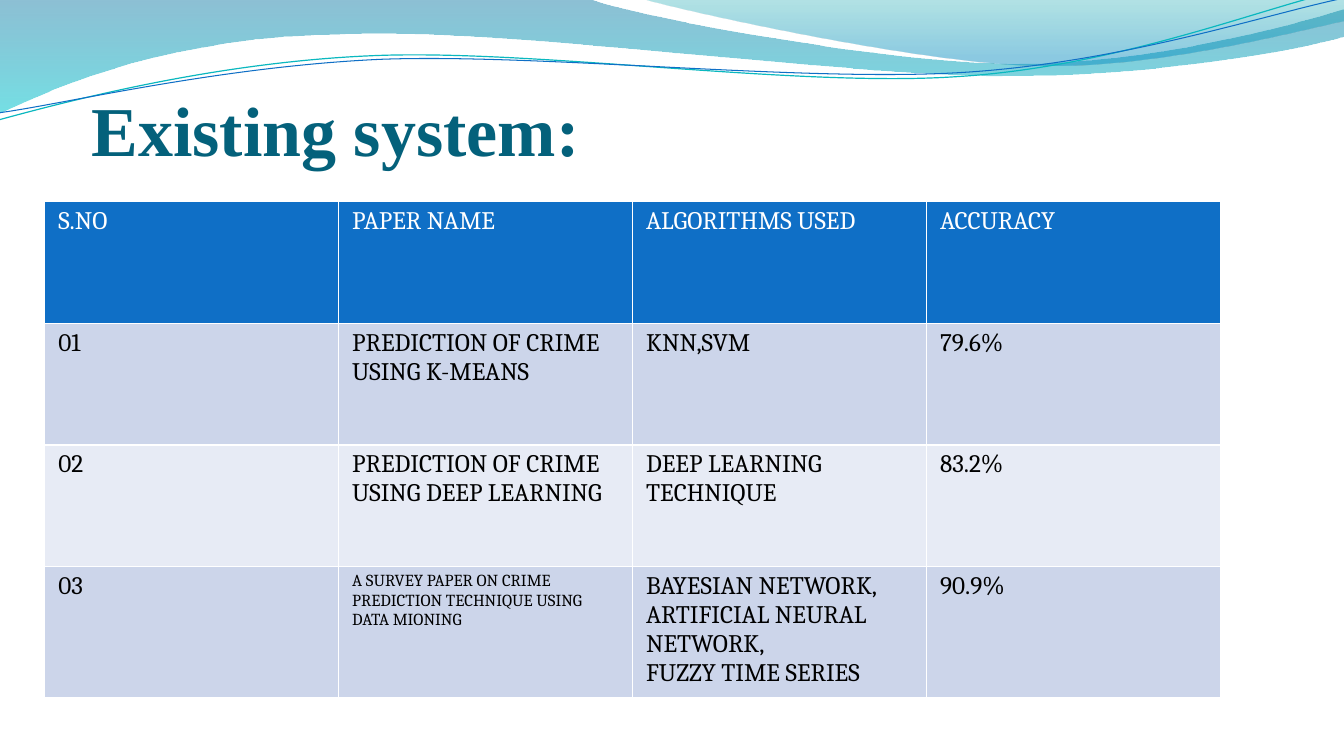
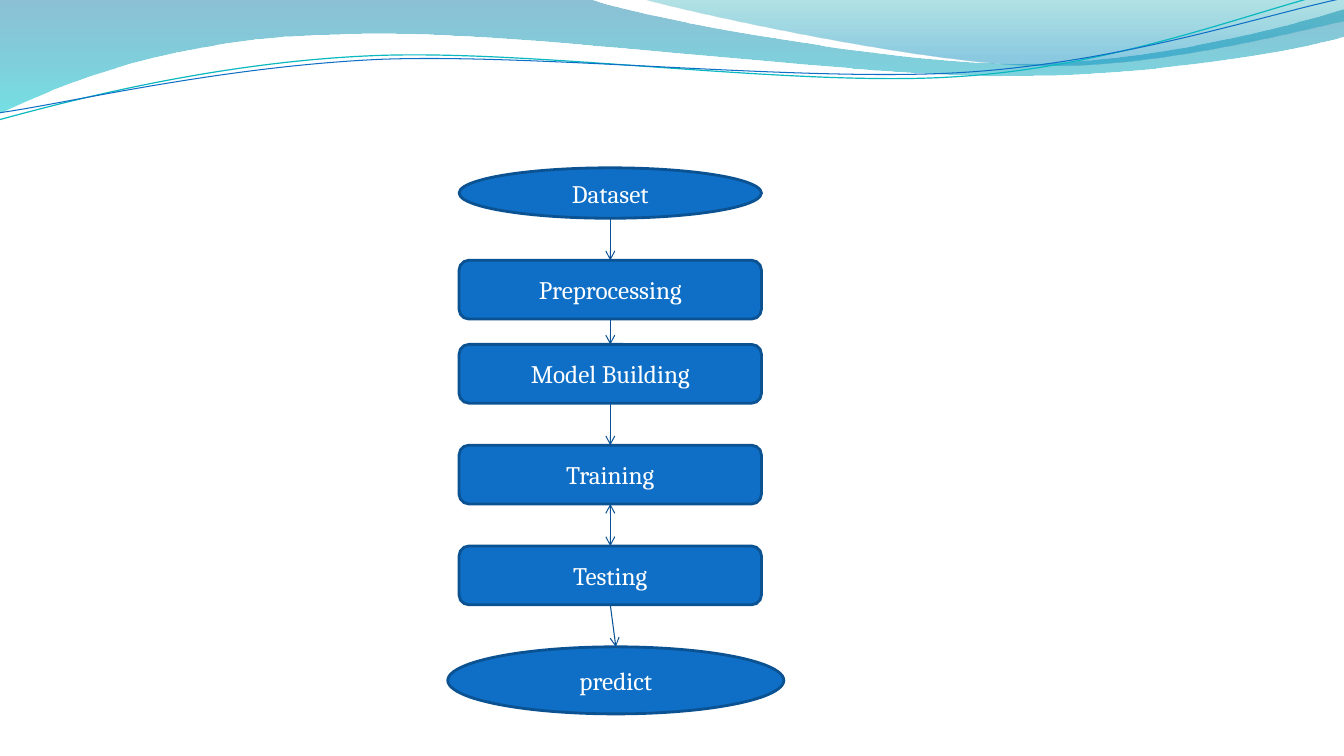
from dataclasses import dataclass

from lxml import etree
from pptx import Presentation
from pptx.dml.color import RGBColor
from pptx.enum import shapes, text
from pptx.oxml.ns import qn
from pptx.util import Cm, Pt


@dataclass(frozen=True)
class Theme:
    accent: str = "0F6FC6"
    outline: str = "0B5292"
    arrow: str = "095295"
    title: str = "04617B"
    light: str = "FFFFFF"
    dark: str = "000000"
    bands: tuple = ("CCD5EA", "E7EBF5")
    title_font: str = "Times New Roman"
    body_font: str = "Cambria"
    title_size: int = 50
    body_size: int = 18
    small_size: int = 12


@dataclass(frozen=True)
class Box:
    """A region of the slide, in centimetres."""
    left: float
    top: float
    width: float
    height: float

    def lengths(self):
        return Cm(self.left), Cm(self.top), Cm(self.width), Cm(self.height)


THEME = Theme()
SLIDE_SIZE = (33.87, 19.05)
TITLE_BOX = Box(2.31, 2.54, 24.33, 1.75)
TABLE_BOX = Box(1.13, 5.08, 29.63, 12.27)
FLOW_BOX = Box(11.57, 4.23, 7.62, 13.76)

# A step of one point is a straight line, of three points a cubic curve.
# Gradient stops are position, colour and opacity in percent.
WAVE_BANDS = [
    ((0, 0), [
        [(14.91, -0.02)],
        [(16.1, 0.43), (22.48, 1.6), (25.68, 1.6)],
        [(28.91, 1.6), (32.46, 0.66), (33.86, 0.23)],
        [(33.91, 0.91)],
        [(33.3, 1.12), (29.46, 1.93), (25.25, 1.91)],
        [(21.06, 1.91), (12.93, 0.71), (8.71, 0.86)],
        [(4.37, 0.91), (1.55, 2.11), (-0.03, 2.87)],
        [(0, 0)],
    ], [(0, "0074A1", 45), (1, "00C6CF", 55)]),
    ((16.23, -0.02), [
        [(17.25, 0.28), (23.09, 1.57), (26.04, 1.65)],
        [(28.98, 1.75), (32.56, 0.81), (33.86, 0.53)],
        [(33.86, 0)],
        [(16.23, -0.02)],
    ], [(0, "00A1A9", 30), (0.8, "008BBF", 45)]),
]
WAVE_LINES = [
    ((-0.08, 2.22), [
        [(1.59, 1.85), (5.37, 1.03), (9.38, 1.05)],
        [(13.41, 1.06), (20.03, 2.36), (24.1, 2.27)],
        [(28.17, 2.21), (31.84, 0.9), (33.87, 0.55)],
    ], "0AB8BF", 0.85),
    ((-0.04, 2.04), [
        [(1.56, 1.9), (5.54, 1.14), (9.61, 1.15)],
        [(13.65, 1.19), (20.19, 2.23), (24.24, 2.17)],
        [(28.3, 2.11), (31.92, 1.07), (33.93, 0.75)],
    ], THEME.accent, 0.75),
]
WAVE_TILT = -2.7

PAPERS = [
    ["S.NO", "PAPER NAME", "ALGORITHMS USED", "ACCURACY"],
    ["01", "PREDICTION OF CRIME USING K-MEANS", "KNN,SVM", "79.6%"],
    ["02", "PREDICTION OF CRIME USING DEEP LEARNING",
     "DEEP LEARNING TECHNIQUE", "83.2%"],
    ["03", "A SURVEY PAPER ON CRIME PREDICTION TECHNIQUE USING DATA MIONING",
     "BAYESIAN NETWORK,\nARTIFICIAL NEURAL NETWORK,\nFUZZY TIME SERIES", "90.9%"],
]
SMALL_CELL = (3, 1)

OVAL = shapes.MSO_SHAPE.OVAL
ROUNDED = shapes.MSO_SHAPE.ROUNDED_RECTANGLE
# Label, outline, height, gap above, extra width, shift of the centre
STAGES = [
    ("Dataset", OVAL, 1.27, 0, 0, 0),
    ("Preprocessing", ROUNDED, 1.48, 1.06, 0, 0),
    ("Model Building", ROUNDED, 1.48, 0.64, 0, 0),
    ("Training", ROUNDED, 1.48, 1.06, 0, 0),
    ("Testing", ROUNDED, 1.48, 1.06, 0, 0),
    ("predict", OVAL, 1.69, 1.06, 0.85, 0.14),
]
TWO_WAY = ("Training", "Testing")


def rgb(code):
    return RGBColor.from_string(code)


def add_run(paragraph, words, size, color, font=THEME.body_font, bold=False):
    run = paragraph.add_run()
    run.text = words
    run.font.name = font
    run.font.size = Pt(size)
    run.font.bold = bold
    run.font.color.rgb = rgb(color)


def add_outline(slide, start, steps, close):
    """Draw straight steps through every point, then bend the triples into curves."""
    builder = slide.shapes.build_freeform(Cm(start[0]), Cm(start[1]))
    corners = [(Cm(x), Cm(y)) for step in steps for x, y in step]
    builder.add_line_segments(corners, close=close)
    outline = builder.convert_to_shape()
    outline.shadow.inherit = False
    segments = iter(list(outline._element.spPr.iter(qn("a:lnTo"))))
    for step in steps:
        first, *others = [next(segments) for _ in step]
        if others:
            curve = etree.Element(qn("a:cubicBezTo"))
            first.addprevious(curve)
            for segment in (first, *others):
                curve.append(segment[0])
                segment.getparent().remove(segment)
    return outline


def add_waves(slide):
    for start, steps, stops in WAVE_BANDS:
        band = add_outline(slide, start, steps, close=True)
        band.line.fill.background()
        band.fill.gradient()
        band.fill.gradient_angle = 270
        for stop, (position, color, _) in zip(band.fill.gradient_stops, stops):
            stop.position = position
            stop.color.rgb = rgb(color)
        for tint, (_, _, opacity) in zip(band._element.spPr.iter(qn("a:srgbClr")), stops):
            etree.SubElement(tint, qn("a:alpha"), val=str(opacity * 1000))
    for start, steps, color, weight in WAVE_LINES:
        wave = add_outline(slide, start, steps, close=False)
        wave.rotation = WAVE_TILT
        wave.fill.background()
        wave.line.color.rgb = rgb(color)
        wave.line.width = Pt(weight)


def add_title(slide, box, words):
    frame = slide.shapes.add_textbox(*box.lengths()).text_frame
    frame.word_wrap = True
    frame.vertical_anchor = text.MSO_ANCHOR.BOTTOM
    frame.margin_left = frame.margin_right = frame.margin_bottom = 0
    add_run(frame.paragraphs[0], words, THEME.title_size, THEME.title,
            THEME.title_font, bold=True)


def add_borders(cell):
    properties = cell._tc.get_or_add_tcPr()
    for side in "LRTB":
        border = etree.SubElement(properties, qn(f"a:ln{side}"), w=str(Pt(1)))
        fill = etree.SubElement(border, qn("a:solidFill"))
        etree.SubElement(fill, qn("a:srgbClr"), val=THEME.light)


def fill_cell(cell, words, size, color, fill):
    cell.margin_left = cell.margin_right = Cm(0.34)
    add_borders(cell)
    cell.fill.solid()
    cell.fill.fore_color.rgb = rgb(fill)
    frame = cell.text_frame
    for i, line in enumerate(words.split("\n")):
        paragraph = frame.add_paragraph() if i else frame.paragraphs[0]
        add_run(paragraph, line, size, color)


def add_paper_table(slide, box, papers):
    table = slide.shapes.add_table(len(papers), len(papers[0]), *box.lengths()).table
    for column in table.columns:
        column.width = Cm(box.width / len(papers[0]))
    for r, paper in enumerate(papers):
        table.rows[r].height = Cm(box.height / len(papers))
        header = r == 0
        for c, words in enumerate(paper):
            fill_cell(table.cell(r, c), words,
                      THEME.small_size if (r, c) == SMALL_CELL else THEME.body_size,
                      THEME.light if header else THEME.dark,
                      THEME.accent if header else THEME.bands[(r - 1) % 2])


def add_stage(slide, box, label, outline):
    stage = slide.shapes.add_shape(outline, *box.lengths())
    stage.shadow.inherit = False
    stage.fill.solid()
    stage.fill.fore_color.rgb = rgb(THEME.accent)
    stage.line.color.rgb = rgb(THEME.outline)
    stage.line.width = Pt(2)
    stage.text_frame.vertical_anchor = text.MSO_ANCHOR.MIDDLE
    paragraph = stage.text_frame.paragraphs[0]
    paragraph.alignment = text.PP_ALIGN.CENTER
    add_run(paragraph, label, THEME.body_size, THEME.light)
    return stage


def add_arrow(slide, upper, lower, two_way):
    arrow = slide.shapes.add_connector(
        shapes.MSO_CONNECTOR.STRAIGHT,
        upper.left + upper.width // 2, upper.top + upper.height,
        lower.left + lower.width // 2, lower.top)
    if upper.auto_shape_type == ROUNDED:
        arrow.begin_connect(upper, 2)
    arrow.end_connect(lower, 0)
    arrow.line.color.rgb = rgb(THEME.arrow)
    arrow.line.width = Pt(0.75)
    line = arrow.line._get_or_add_ln()
    for end in ("headEnd", "tailEnd") if two_way else ("tailEnd",):
        etree.SubElement(line, qn(f"a:{end}"), type="arrow")
    etree.SubElement(arrow._element.spPr, qn("a:effectLst"))


def add_flow(slide, box):
    """Stack the stages downwards and link each to the next."""
    top, placed = box.top, []
    for label, outline, height, gap, extra, shift in STAGES:
        top += gap
        place = Box(box.left + shift - extra / 2, top, box.width + extra, height)
        placed.append((label, add_stage(slide, place, label, outline)))
        top += height
    for (above, upper), (below, lower) in zip(placed, placed[1:]):
        add_arrow(slide, upper, lower, (above, below) == TWO_WAY)


def new_slide(deck):
    slide = deck.slides.add_slide(deck.slide_layouts[6])
    add_waves(slide)
    return slide


def main():
    deck = Presentation()
    deck.slide_width, deck.slide_height = map(Cm, SLIDE_SIZE)

    existing_system = new_slide(deck)
    add_title(existing_system, TITLE_BOX, "Existing system:")
    add_paper_table(existing_system, TABLE_BOX, PAPERS)

    add_flow(new_slide(deck), FLOW_BOX)
    deck.save("out.pptx")


if __name__ == "__main__":
    main()
